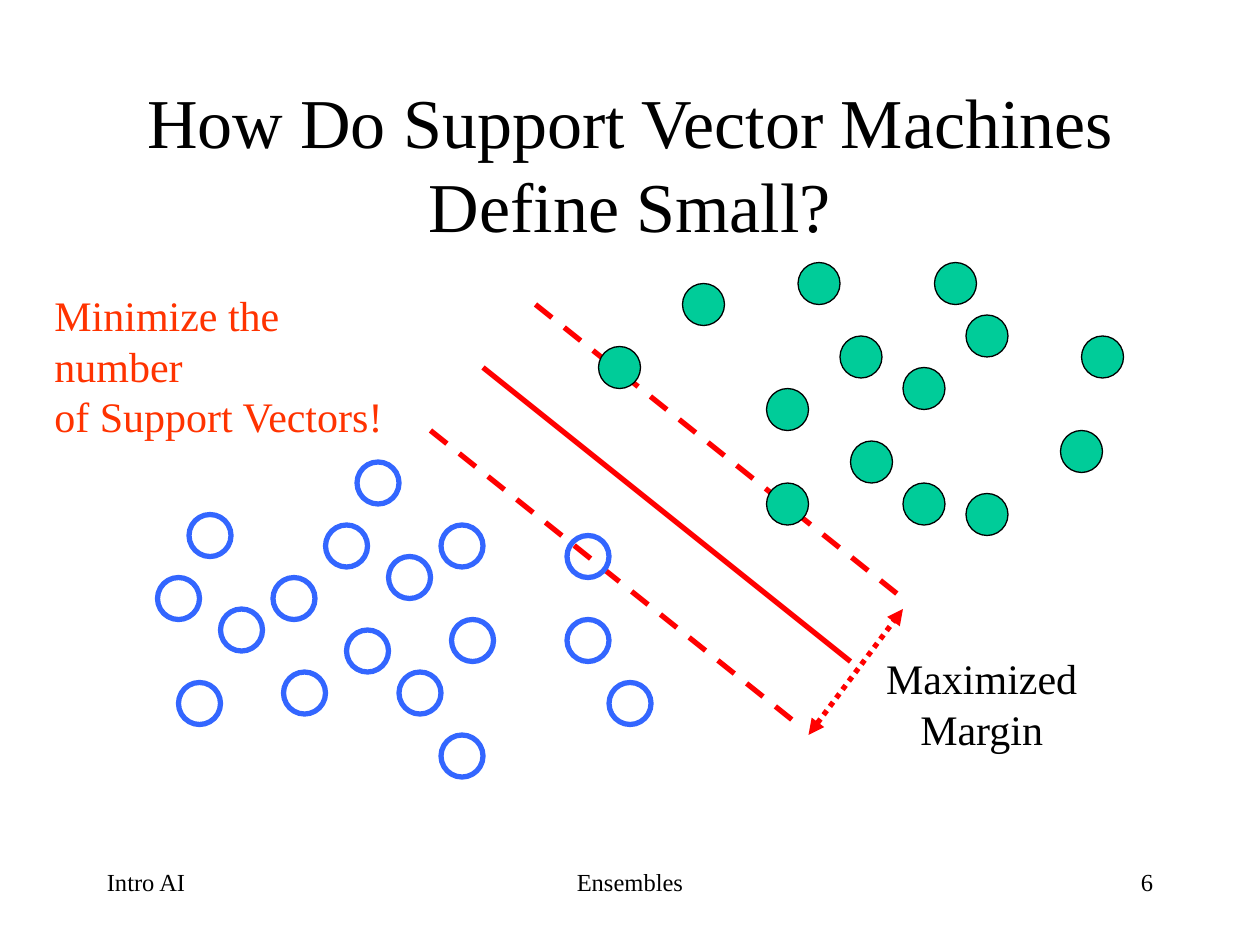
from dataclasses import dataclass
from typing import Optional

from lxml.etree import SubElement
from pptx import Presentation
from pptx.dml.color import RGBColor
from pptx.enum.dml import MSO_LINE
from pptx.enum.shapes import MSO_CONNECTOR, MSO_SHAPE
from pptx.enum.text import MSO_ANCHOR, MSO_AUTO_SIZE, PP_ALIGN
from pptx.oxml.ns import qn
from pptx.util import Inches, Pt

COLORS = {"text": "000000", "note": "FF3300", "margin": "FF0000",
          "positive": "00CC99", "negative": "3366FF"}
FONT = "Times New Roman"
CELLS_PER_INCH = 12
DOT_CELLS = 4


@dataclass
class DotClass:
    color: str
    line_color: str
    line_width: float
    filled: bool


@dataclass
class Line:
    start: tuple[int, int]
    end: tuple[int, int]
    dash: Optional[MSO_LINE] = None
    arrows: bool = False


@dataclass
class Label:
    text: str
    box: tuple[float, float, float, float]
    size: int
    align: PP_ALIGN
    color: str = "text"
    wrap: bool = True


POSITIVE = DotClass("positive", "text", 0.75, True)
NEGATIVE = DotClass("negative", "negative", 3, False)

POSITIVE_VECTORS = [(73, 46), (57, 33)]
NEGATIVE_VECTORS = [(54, 51)]
POSITIVE_CLOUD = [(101, 41), (86, 35), (103, 32), (76, 25), (92, 47), (81, 42),
                  (65, 27), (89, 25), (80, 32), (92, 30), (73, 37), (86, 46)]
NEGATIVE_CLOUD = [(34, 44), (42, 50), (43, 59), (33, 60), (31, 50), (58, 65),
                  (37, 53), (54, 59), (18, 49), (26, 55), (27, 64), (17, 65),
                  (15, 55), (42, 70), (21, 58), (38, 64)]

BOUNDARIES = [
    Line((46, 35), (81, 63)),
    Line((51, 29), (86, 57), MSO_LINE.DASH),
    Line((41, 41), (76, 69), MSO_LINE.DASH),
]
MARGIN_ARROW = Line((77, 70), (86, 58), MSO_LINE.ROUND_DOT, True)

LABELS = [
    Label("Maximized\nMargin", (83.2, 61.6, 20.6, 10.8), 24, PP_ALIGN.CENTER, wrap=False),
    Label("Minimize the number\nof Support Vectors!", (4, 27, 37, 10.8), 24,
          PP_ALIGN.LEFT, "note", False),
    Label("Intro AI", (9, 82, 25, 6), 14, PP_ALIGN.LEFT),
    Label("Ensembles", (41, 82, 38, 6), 14, PP_ALIGN.CENTER),
    Label("6", (86, 82, 25, 6), 14, PP_ALIGN.RIGHT),
]


def cells(count: float) -> int:
    """Convert grid cells to a length."""
    return Inches(count / CELLS_PER_INCH)


def color(name: str) -> RGBColor:
    """Look up a named colour."""
    return RGBColor.from_string(COLORS[name])


def format_text(text_frame, size: int, align: PP_ALIGN, color_name: str) -> None:
    """Align every paragraph and format its runs."""
    for paragraph in text_frame.paragraphs:
        paragraph.alignment = align
        for run in paragraph.runs:
            run.font.name = FONT
            run.font.size = Pt(size)
            run.font.color.rgb = color(color_name)


def set_title(slide, text: str) -> None:
    """Place and format the title placeholder."""
    title = slide.shapes.title
    title.left, title.top, title.width, title.height = map(cells, (9, 8, 102, 15))
    title.text_frame.text = text
    title.text_frame.word_wrap = True
    title.text_frame.auto_size = MSO_AUTO_SIZE.NONE
    title.text_frame.vertical_anchor = MSO_ANCHOR.MIDDLE
    format_text(title.text_frame, 40, PP_ALIGN.CENTER, "text")


def add_line(slide, line: Line) -> None:
    """Draw a boundary or a double-headed margin arrow."""
    connector = slide.shapes.add_connector(
        MSO_CONNECTOR.STRAIGHT, *map(cells, line.start + line.end))
    connector.line.color.rgb = color("margin")
    connector.line.width = Pt(3)
    if line.dash is not None:
        connector.line.dash_style = line.dash
    if line.arrows:
        for end in ("a:headEnd", "a:tailEnd"):
            SubElement(connector.line._get_or_add_ln(), qn(end), type="triangle")
    SubElement(connector._element.spPr, qn("a:effectLst"))


def add_dots(shapes, positions: list[tuple[int, int]], style: DotClass) -> None:
    """Draw the dots of one class."""
    for column, row in positions:
        dot = shapes.add_shape(MSO_SHAPE.OVAL, *map(cells, (column, row, DOT_CELLS, DOT_CELLS)))
        dot.shadow.inherit = False
        if style.filled:
            dot.fill.solid()
            dot.fill.fore_color.rgb = color(style.color)
        else:
            dot.fill.background()
        dot.line.color.rgb = color(style.line_color)
        dot.line.width = Pt(style.line_width)


def add_label(slide, label: Label) -> None:
    """Draw a text label."""
    text_frame = slide.shapes.add_textbox(*map(cells, label.box)).text_frame
    text_frame.word_wrap = label.wrap
    if not label.wrap:
        text_frame.auto_size = MSO_AUTO_SIZE.SHAPE_TO_FIT_TEXT
    text_frame.text = label.text
    format_text(text_frame, label.size, label.align, label.color)


def main() -> None:
    """Build the slide and save the presentation."""
    presentation = Presentation()
    presentation.slide_width, presentation.slide_height = Inches(10), Inches(7.5)
    slide = presentation.slides.add_slide(presentation.slide_layouts[5])
    set_title(slide, "How Do Support Vector Machines Define Small?")
    for line in BOUNDARIES:
        add_line(slide, line)
    add_dots(slide.shapes, POSITIVE_VECTORS, POSITIVE)
    add_dots(slide.shapes, NEGATIVE_VECTORS, NEGATIVE)
    add_line(slide, MARGIN_ARROW)
    add_dots(slide.shapes.add_group_shape().shapes, NEGATIVE_CLOUD, NEGATIVE)
    add_dots(slide.shapes.add_group_shape().shapes, POSITIVE_CLOUD, POSITIVE)
    for label in LABELS:
        add_label(slide, label)
    presentation.save("out.pptx")


if __name__ == "__main__":
    main()
